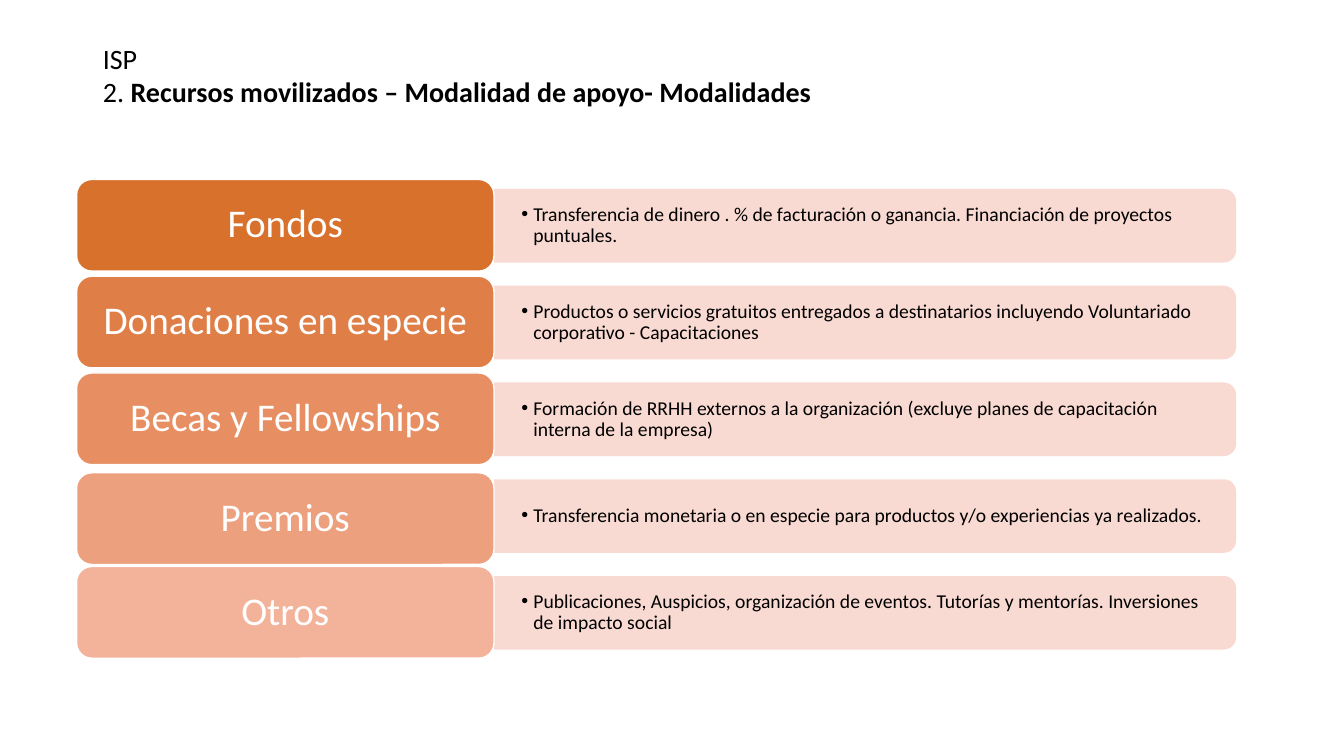
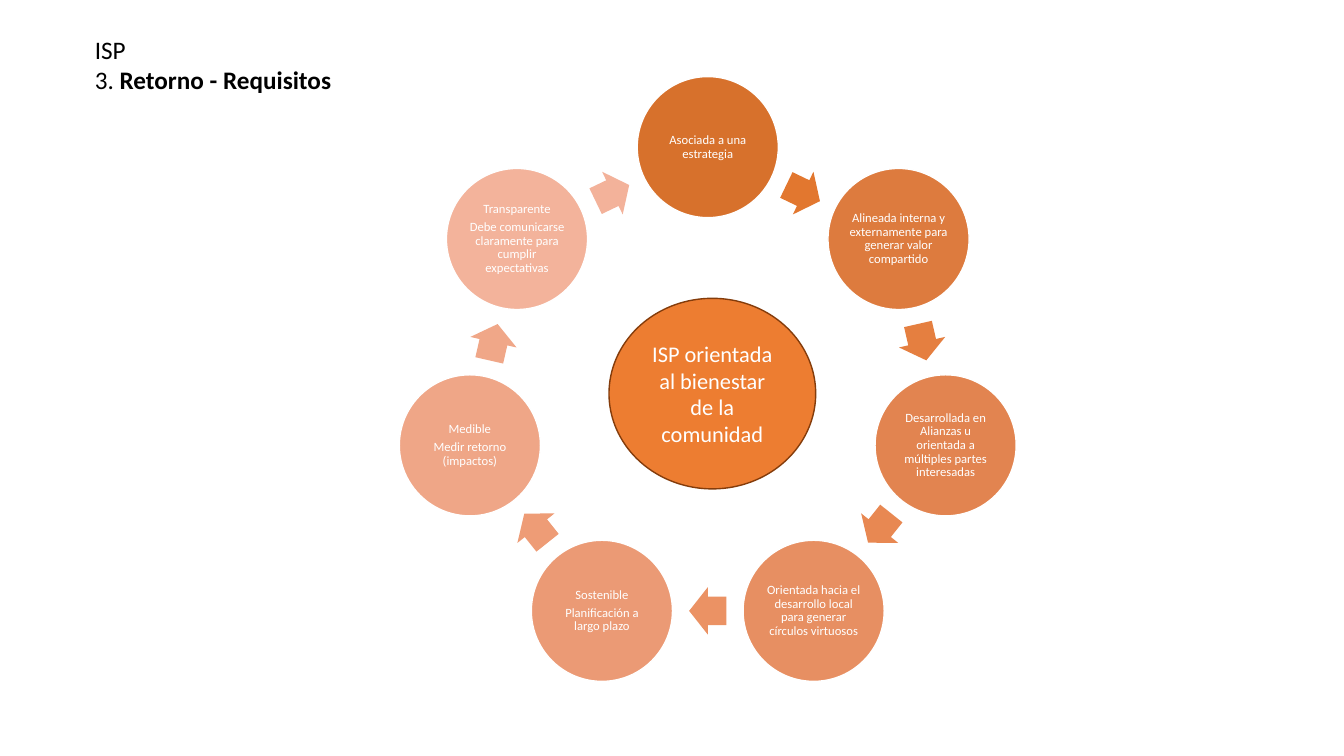
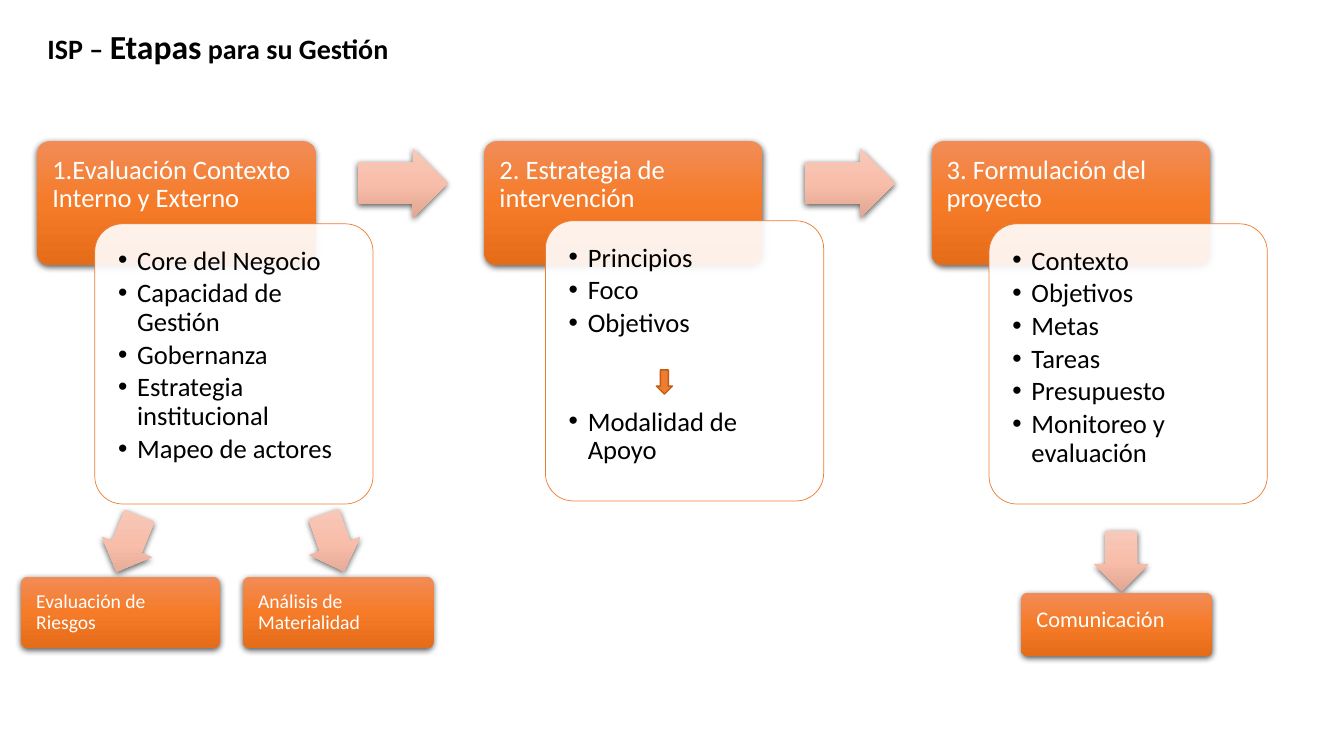
from copy import deepcopy
from math import cos, pi, sin

from lxml.etree import SubElement
from pptx import Presentation
from pptx.dml.color import RGBColor
from pptx.enum.shapes import MSO_SHAPE as Preset
from pptx.enum.text import MSO_ANCHOR as Anchor, MSO_AUTO_SIZE as AutoSize, PP_ALIGN as Align
from pptx.oxml.ns import qn
from pptx.util import Inches, Pt

FONT = "Calibri"
BLACK = RGBColor(0x00, 0x00, 0x00)
WHITE = RGBColor(0xFF, 0xFF, 0xFF)
ORANGE = RGBColor(0xED, 0x7D, 0x31)
DARK_ORANGE = RGBColor(0xC5, 0x5A, 0x11)
BROWN = RGBColor(0x84, 0x3C, 0x0B)
PALE_PINK = RGBColor(0xF8, 0xD7, 0xCE)
RAMP_1 = RGBColor(0xD7, 0x71, 0x2C)
RAMP_3 = RGBColor(0xE7, 0x8F, 0x62)
RAMP_5 = RGBColor(0xF3, 0xB3, 0x9B)
ORANGE_GRADIENT = [RGBColor(0xF1, 0x8C, 0x57), RGBColor(0xF6, 0x7B, 0x28), RGBColor(0xE5, 0x6C, 0x19)]
PINK_GRADIENT = [RGBColor(0xF7, 0xC9, 0xBA), RGBColor(0xF8, 0xBE, 0xAA), RGBColor(0xE2, 0xA6, 0x92)]

# label, label colour, label top, description
SUPPORT_MODES = [
    ("Fondos", RAMP_1, 1.78,
     "Transferencia de dinero . % de facturación o ganancia. Financiación de proyectos puntuales."),
    ("Donaciones en especie", RGBColor(0xDF, 0x7F, 0x47), 2.74,
     "Productos o servicios gratuitos entregados a destinatarios incluyendo Voluntariado corporativo"
     " - Capacitaciones"),
    ("Becas y Fellowships", RAMP_3, 3.7,
     "Formación de RRHH externos a la organización (excluye planes de capacitación interna de la empresa)"),
    ("Premios", RGBColor(0xED, 0xA0, 0x7E), 4.69,
     "Transferencia monetaria o en especie para productos y/o experiencias ya realizados."),
    ("Otros", RAMP_5, 5.62,
     "Publicaciones, Auspicios, organización de eventos. Tutorías y mentorías. Inversiones de impacto social"),
]

# texts, circle colour, colour of the arrow that follows
REQUIREMENTS = [
    (["Asociada a una estrategia"], RAMP_1, RGBColor(0xE2, 0x77, 0x2F)),
    (["Alineada interna y externamente para generar valor compartido"],
     RGBColor(0xDD, 0x7B, 0x3E), RGBColor(0xE5, 0x7F, 0x40)),
    (["Desarrollada en Alianzas u orientada a múltiples partes interesadas"],
     RGBColor(0xE2, 0x84, 0x50), RGBColor(0xE8, 0x88, 0x52)),
    (["Orientada hacia el desarrollo local para generar círculos virtuosos"],
     RAMP_3, RGBColor(0xEB, 0x92, 0x64)),
    (["Sostenible", "Planificación a largo plazo"],
     RGBColor(0xEB, 0x9A, 0x75), RGBColor(0xEE, 0x9C, 0x76)),
    (["Medible", "Medir retorno (impactos)"],
     RGBColor(0xEF, 0xA6, 0x87), RGBColor(0xF0, 0xA7, 0x88)),
    (["Transparente", "Debe comunicarse claramente para cumplir expectativas"],
     RAMP_5, RGBColor(0xF3, 0xB2, 0x9A)),
]

# heading, left and top of the card, card items
STAGES = [
    ("1.Evaluación Contexto Interno y Externo", 0.94, 2.22,
     ["Core del Negocio", "Capacidad de Gestión", "Gobernanza", "Estrategia institucional",
      "Mapeo de actores"]),
    ("2. Estrategia de intervención", 5.41, 2.19,
     ["Principios", "Foco", "Objetivos", "Modalidad de Apoyo"]),
    ("3. Formulación del proyecto", 9.81, 2.22,
     ["Contexto", "Objetivos", "Metas", "Tareas", "Presupuesto", "Monitoreo y evaluación"]),
]

# arrow left, top and rotation; box left, top, width, height; text and its size
OUTCOMES = [
    ((0.97, 5.13, 112.4), (0.21, 5.72, 1.97, 0.71), "Evaluación de Riesgos", 14),
    ((3.01, 5.12, 70.7), (2.41, 5.72, 1.89, 0.71), "Análisis de Materialidad", 14),
    ((10.82, 5.3, 90), (10.13, 5.88, 1.89, 0.63), "Comunicación", 16),
]


def add_run(paragraph, text, size, color, bold=False):
    run = paragraph.add_run()
    run.text = text
    run.font.name = FONT
    run.font.size = Pt(size)
    run.font.bold = bold
    run.font.color.rgb = color


def add_title(slide, box, lines):
    """Fill the title placeholder; each line is a list of (text, size, bold)."""
    title = slide.shapes.title
    title.left, title.top, title.width, title.height = map(Inches, box)
    frame = title.text_frame
    frame.word_wrap = True
    frame.auto_size = AutoSize.NONE
    frame.vertical_anchor = Anchor.TOP
    for index, runs in enumerate(lines):
        paragraph = frame.add_paragraph() if index else frame.paragraphs[0]
        paragraph.alignment = Align.LEFT
        for text, size, bold in runs:
            add_run(paragraph, text, size, BLACK, bold)


def add_preset(slide, preset, box, color=None, line=None, line_width=1, rotation=0, adjustments=()):
    shape = slide.shapes.add_shape(preset, *map(Inches, box))
    shape.shadow.inherit = False
    shape.rotation = rotation
    for index, value in enumerate(adjustments):
        shape.adjustments[index] = value
    if color is not None:
        shape.fill.solid()
        shape.fill.fore_color.rgb = color
    if line is None:
        shape.line.fill.background()
    else:
        shape.line.color.rgb = line
        shape.line.width = Pt(line_width)
    return shape


def make_translucent(shape, percent):
    for color in shape._element.spPr.findall(qn("a:solidFill") + "/" + qn("a:srgbClr")):
        SubElement(color, qn("a:alpha")).set("val", str(percent * 1000))


def add_raised(slide, preset, box, colors, rotation=0, adjustments=(0.1,)):
    """Add a shape with a vertical three-stop gradient and a soft shadow below."""
    shape = add_preset(slide, preset, box, rotation=rotation, adjustments=adjustments)
    shape.fill.gradient()
    shape.fill.gradient_angle = 270
    properties = shape._element.spPr
    gradient = properties.find(qn("a:gradFill"))
    gradient.set("rotWithShape", "0")
    stop_list = gradient.find(qn("a:gsLst"))
    stop_list.insert(1, deepcopy(stop_list[0]))
    for stop, color, position in zip(shape.fill.gradient_stops, colors, (0, 0.5, 1)):
        stop.color.rgb = color
        stop.position = position
    shadow = SubElement(properties.find(qn("a:effectLst")), qn("a:outerShdw"),
                        blurRad=str(Pt(4.5)), dist=str(Pt(1.5)), dir="5400000", rotWithShape="0")
    shadow_color = SubElement(shadow, qn("a:srgbClr"), val="000000")
    SubElement(shadow_color, qn("a:alpha"), val="63000")
    return shape


def write_text(shape, texts, size, color, insets, anchor=Anchor.MIDDLE, align=Align.LEFT,
               spacing=0.9, gap=0.35, bullet_indent=None):
    """Write paragraphs; insets are (sides, top and bottom), gap is a share of the size."""
    frame = shape.text_frame
    frame.word_wrap = True
    frame.vertical_anchor = anchor
    frame.margin_left = frame.margin_right = Inches(insets[0])
    frame.margin_top = frame.margin_bottom = Inches(insets[1])
    for index, text in enumerate(texts):
        paragraph = frame.add_paragraph() if index else frame.paragraphs[0]
        if bullet_indent:
            properties = paragraph._p.get_or_add_pPr()
            properties.set("marL", str(Inches(bullet_indent)))
            properties.set("indent", str(-Inches(bullet_indent)))
            SubElement(properties, qn("a:buFont"), typeface="Arial")
            SubElement(properties, qn("a:buChar"), char="•")
        paragraph.alignment = align
        paragraph.line_spacing = spacing
        paragraph.space_after = Pt(round(size * gap, 2))
        add_run(paragraph, text, size, color)


def add_heading_box(slide, box, text, size):
    shape = add_raised(slide, Preset.ROUNDED_RECTANGLE, box, ORANGE_GRADIENT)
    inset = 0.15 - 0.03 * box[3]  # the rounded corners already push the text inwards
    write_text(shape, [text], size, WHITE, (inset, inset), Anchor.TOP)


def add_pink_arrow(slide, box, rotation=0):
    add_raised(slide, Preset.RIGHT_ARROW, box, PINK_GRADIENT, rotation, (0.6, 0.5))


def build_support_modes(slide):
    add_title(slide, (0.92, 0.36, 9.06, 0.77), [
        [("ISP", 20, False)],
        [("2. ", 20, False), ("Recursos movilizados – Modalidad de apoyo- Modalidades", 20, True)]])
    bar_left, bar_length, bar_height, row_pitch = 4.9, 7.36, 0.73, 0.96
    for row, (label, color, label_top, description) in enumerate(SUPPORT_MODES):
        center_x = bar_left + bar_length / 2
        center_y = 2.24 + row * row_pitch
        bar = add_preset(slide, Preset.ROUND_2_SAME_RECTANGLE,
                         (center_x - bar_height / 2, center_y - bar_length / 2, bar_height, bar_length),
                         PALE_PINK, rotation=90)
        make_translucent(bar, 90)
        text_box = slide.shapes.add_textbox(
            *map(Inches, (bar_left, center_y - 0.33, 7.32, 0.66)))
        write_text(text_box, [description], 14, BLACK, (0.27, 0.14), gap=0.15, bullet_indent=0.12)
        label_box = add_preset(slide, Preset.ROUNDED_RECTANGLE, (0.76, label_top, 4.14, 0.91),
                               color, WHITE)
        write_text(label_box, [label], 28, WHITE, (0.12, 0.06), align=Align.CENTER)


def build_requirements(slide):
    add_title(slide, (0.84, 0.29, 6.67, 0.71), [
        [("ISP", 18, False)],
        [("3. ", 18, False), ("Retorno - Requisitos", 18, True)]])
    center_x, center_y, radius, diameter = 7.02, 3.88, 2.42, 1.4
    arrow_width, arrow_height = 0.37, 0.47
    step = 2 * pi / len(REQUIREMENTS)

    def ring_box(angle, distance, width, height):
        return (center_x + distance * sin(angle) - width / 2,
                center_y - distance * cos(angle) - height / 2, width, height)

    for index, (texts, color, arrow_color) in enumerate(REQUIREMENTS):
        circle = add_preset(slide, Preset.OVAL, ring_box(index * step, radius, diameter, diameter),
                            color, WHITE)
        write_text(circle, texts, 9, WHITE, (0.01, 0.01), align=Align.CENTER)
        halfway = (index + 0.5) * step
        add_preset(slide, Preset.RIGHT_ARROW,
                   ring_box(halfway, radius * cos(step / 2), arrow_width, arrow_height),
                   arrow_color, rotation=halfway * 180 / pi, adjustments=(0.6, 0.5))
    hub = add_preset(slide, Preset.OVAL, (6.04, 2.96, 2.05, 1.89), ORANGE, BROWN)
    write_text(hub, ["ISP orientada al bienestar de la comunidad"], 16, WHITE, (0.1, 0.05),
               align=Align.CENTER, spacing=1.0, gap=0)


def build_stages(slide):
    add_title(slide, (0.37, 0.21, 3.94, 0.5), [
        [("ISP – ", 20, True), ("Etapas", 24, True), (" para su Gestión", 20, True)]])
    stage_pitch = 4.435
    for index, (heading, card_left, card_top, items) in enumerate(STAGES):
        left = 0.37 + index * stage_pitch
        add_heading_box(slide, (left, 1.4, 2.76, 1.23), heading, 19)
        card = add_preset(slide, Preset.ROUNDED_RECTANGLE, (card_left, card_top, 2.76, 2.78),
                          WHITE, ORANGE, 0.5, adjustments=(0.1,))
        make_translucent(card, 90)
        write_text(card, items, 19, BLACK, (0.15, 0.15), Anchor.TOP, gap=0.15, bullet_indent=0.19)
        if index == 1:
            card.text_frame.paragraphs[-1].space_before = Pt(47)  # room for the small arrow
        if index < len(STAGES) - 1:
            add_pink_arrow(slide, (left + 3.18, 1.47, 0.89, 0.69))
    add_preset(slide, Preset.DOWN_ARROW, (6.51, 3.67, 0.16, 0.24), ORANGE, DARK_ORANGE)
    for (arrow_left, arrow_top, rotation), box, text, size in OUTCOMES:
        add_pink_arrow(slide, (arrow_left, arrow_top, 0.6, 0.53), rotation)
        add_heading_box(slide, box, text, size)


def main():
    presentation = Presentation()
    presentation.slide_width = Inches(13.33)
    presentation.slide_height = Inches(7.5)
    title_only = presentation.slide_layouts[5]
    for build in (build_support_modes, build_requirements, build_stages):
        build(presentation.slides.add_slide(title_only))
    presentation.save("out.pptx")


if __name__ == "__main__":
    main()
